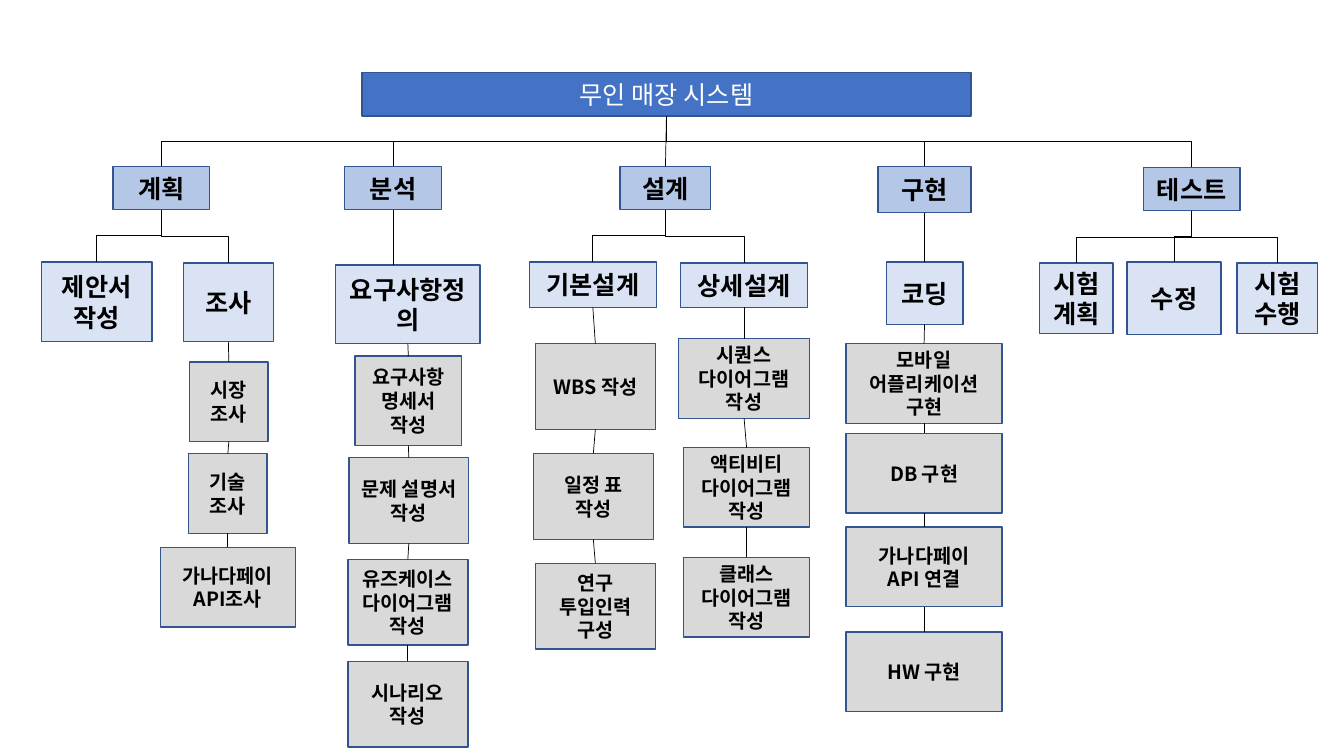
from lxml.etree import SubElement
from pptx import Presentation
from pptx.dml.color import RGBColor
from pptx.enum.shapes import MSO_CONNECTOR, MSO_SHAPE
from pptx.enum.text import MSO_ANCHOR, PP_ALIGN
from pptx.oxml.ns import qn
from pptx.util import Inches, Pt

FONT = "Noto Sans CJK KR"
BOTTOM, TOP = 2, 0
STYLES = {
    "system": ("4472C4", "FFFFFF", 18, False),
    "stage": ("B4C7E7", "000000", 18, True),
    "group": ("DAE3F3", "000000", 18, True),
    "task": ("D9D9D9", "000000", 14, True),
}

# Each box is (text, left, top, width, height), measured from its stage's corner.
STAGES = [
    (0.41, 1.65, ("계획", 0.71, 0, 0.96, 0.43), [
        (("제안서\n작성", 0, 0.95, 1.1, 0.79), []),
        (("조사", 1.41, 0.96, 0.89, 0.78), [
            ("시장\n조사", 1.47, 1.94, 0.78, 0.79),
            ("기술\n조사", 1.46, 2.85, 0.78, 0.79),
            ("가나다페이API조사", 1.18, 3.78, 1.34, 0.79),
        ]),
    ]),
    (3.33, 1.65, ("분석", 0.09, 0, 0.96, 0.43), [
        (("요구사항정의", 0, 0.98, 1.43, 0.78), [
            ("요구사항\n명세서\n작성", 0.19, 1.88, 1.06, 0.89),
            ("문제 설명서 작성", 0.13, 2.89, 1.19, 0.85),
            ("유즈케이스\n다이어그램\n작성", 0.12, 3.9, 1.19, 0.85),
            ("시나리오 작성", 0.12, 4.91, 1.19, 0.85),
        ]),
    ]),
    (5.25, 1.65, ("설계", 0.9, 0, 0.9, 0.43), [
        (("기본설계", 0, 0.95, 1.26, 0.45), [
            ("WBS 작성", 0.06, 1.76, 1.19, 0.85),
            ("일정 표\n작성", 0.04, 2.85, 1.19, 0.85),
            ("연구 투입인력 구성", 0.06, 3.94, 1.19, 0.85),
        ]),
        (("상세설계", 1.5, 0.96, 1.26, 0.44), [
            ("시퀀스\n다이어그램\n작성", 1.48, 1.71, 1.3, 0.79),
            ("액티비티\n다이어그램\n작성", 1.53, 2.79, 1.25, 0.79),
            ("클래스\n다이어그램\n작성", 1.53, 3.88, 1.25, 0.79),
        ]),
    ]),
    (8.39, 1.65, ("구현", 0.32, 0, 0.92, 0.46), [
        (("코딩", 0.4, 0.95, 0.76, 0.62), [
            ("모바일\n어플리케이션\n구현", 0, 1.76, 1.55, 0.79),
            ("DB 구현", 0, 2.65, 1.55, 0.79),
            ("가나다페이\nAPI 연결", 0, 3.58, 1.55, 0.79),
            ("HW 구현", 0, 4.62, 1.55, 0.79),
        ]),
    ]),
    (10.31, 1.66, ("테스트", 1.03, 0, 0.96, 0.43), [
        (("시험계획", 0, 0.95, 0.73, 0.7), []),
        (("수정", 0.87, 0.94, 0.93, 0.72), []),
        (("시험수행", 1.96, 0.95, 0.8, 0.7), []),
    ]),
]


def color(value):
    return RGBColor.from_string(value)


def add_box(slide, style, box, left=0, top=0):
    text, box_left, box_top, width, height = box
    fill, font_color, size, bold = STYLES[style]
    shape = slide.shapes.add_shape(
        MSO_SHAPE.RECTANGLE, Inches(left + box_left), Inches(top + box_top),
        Inches(width), Inches(height))
    shape.shadow.inherit = False
    shape.fill.solid()
    shape.fill.fore_color.rgb = color(fill)
    shape.line.color.rgb = color("325491")
    shape.line.width = Pt(1)
    text_frame = shape.text_frame
    text_frame.word_wrap = True
    text_frame.vertical_anchor = MSO_ANCHOR.MIDDLE
    text_frame.margin_left = text_frame.margin_right = Inches(0.1)
    text_frame.margin_top = text_frame.margin_bottom = 0
    text_frame.text = text
    for paragraph in text_frame.paragraphs:
        paragraph.alignment = PP_ALIGN.CENTER
        for run in paragraph.runs:
            run.font.name = FONT
            run.font.size = Pt(size)
            run.font.bold = bold
            run.font.color.rgb = color(font_color)
            SubElement(run.font._element, qn("a:ea")).set("typeface", FONT)
    return shape


def turn_elbow(connector, start_x, start_y, end_x, end_y):
    across, down = abs(end_x - start_x), end_y - start_y
    connector.left = (start_x + end_x - down) // 2
    connector.top = (start_y + end_y - across) // 2
    connector.width, connector.height = down, across
    goes_right = end_x > start_x
    transform = connector._element.spPr.find(qn("a:xfrm"))
    transform.set("rot", str((270 if goes_right else 90) * 60000))
    transform.set("flipH", "1" if goes_right else "0")


def connect(slide, parent, child, plumb=False):
    start_x, start_y = parent.left + parent.width // 2, parent.top + parent.height
    end_x = start_x if plumb else child.left + child.width // 2
    bent = abs(end_x - start_x) > Inches(0.1)
    kind = MSO_CONNECTOR.ELBOW if bent else MSO_CONNECTOR.STRAIGHT
    connector = slide.shapes.add_connector(kind, start_x, start_y, end_x, child.top)
    connector.begin_connect(parent, BOTTOM)
    if not plumb:
        connector.end_connect(child, TOP)
    if bent:
        turn_elbow(connector, start_x, start_y, end_x, child.top)
    connector.line.color.rgb = color("000000")
    connector.line.width = Pt(0.5)
    SubElement(connector._element.spPr, qn("a:effectLst"))


def add_stage(slide, system, left, top, heading, groups):
    stage = add_box(slide, "stage", heading, left, top)
    connect(slide, system, stage)
    for group_box, tasks in groups:
        group = add_box(slide, "group", group_box, left, top)
        connect(slide, stage, group, plumb=len(groups) == 1)
        previous = group
        for task_box in tasks:
            task = add_box(slide, "task", task_box, left, top)
            connect(slide, previous, task)
            previous = task


presentation = Presentation()
presentation.slide_width = Inches(13.33)
presentation.slide_height = Inches(7.5)
slide = presentation.slides.add_slide(presentation.slide_layouts[6])
system = add_box(slide, "system", ("무인 매장 시스템", 3.59, 0.72, 6.04, 0.43))
for stage_row in STAGES:
    add_stage(slide, system, *stage_row)
presentation.save("out.pptx")
